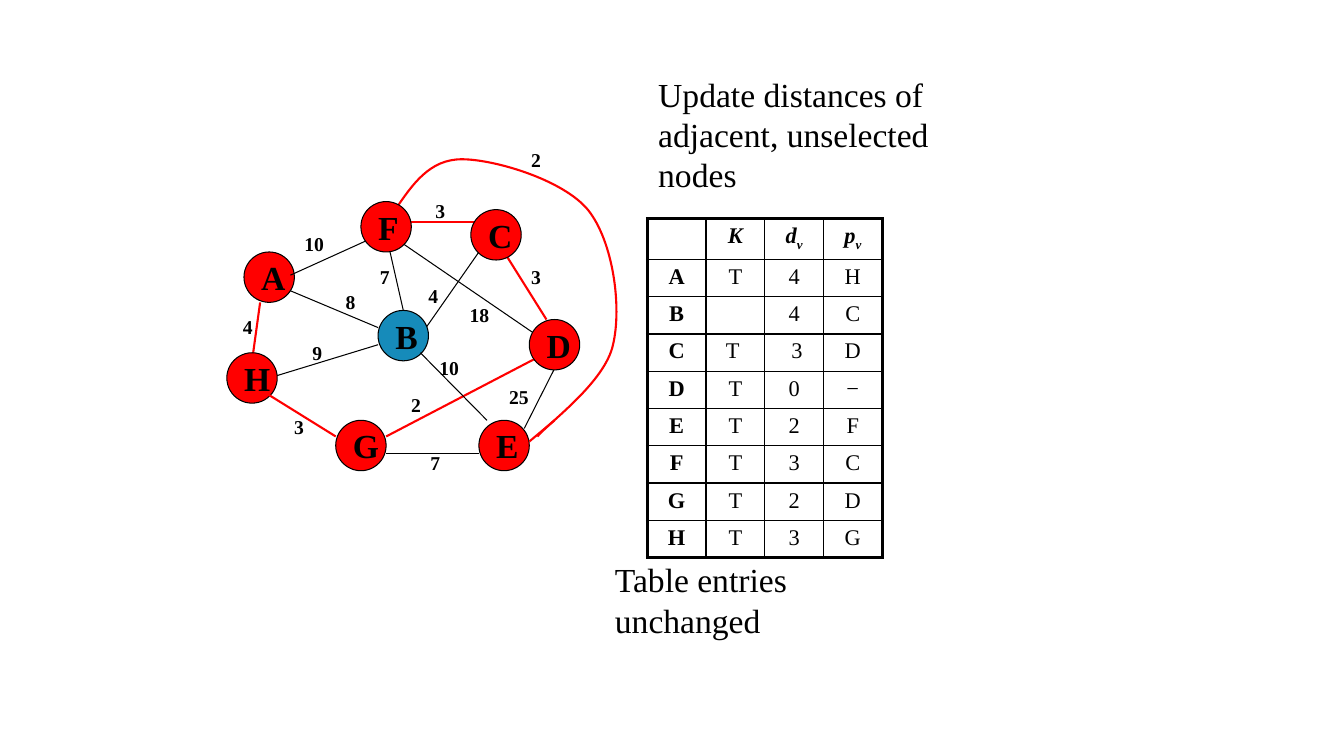
from dataclasses import dataclass

from lxml.etree import SubElement as Sub
from pptx import Presentation
from pptx.dml.color import RGBColor as Rgb
from pptx.enum.shapes import MSO_CONNECTOR as Link, MSO_SHAPE as Form
from pptx.enum.text import MSO_ANCHOR as Anchor, MSO_AUTO_SIZE as Fit, PP_ALIGN as Align
from pptx.oxml.ns import qn
from pptx.util import Inches, Pt

FONT = "Times New Roman"
COLOR = {"ink": "000000", "red": "FF0000", "blue": "168BBA"}
SIDE = 0.5


@dataclass
class Node:
    name: str
    left: float
    top: float
    fill: str = "red"


@dataclass
class Edge:
    start: tuple[float, float]
    end: tuple[float, float]
    weight: str
    spot: tuple[float, float]
    color: str = "ink"
    front: bool = False


@dataclass
class Note:
    text: str
    left: float
    top: float
    width: float
    height: float


NODES = [
    Node("A", 2.42, 2.5), Node("H", 2.25, 3.5), Node("B", 3.75, 3.08, "blue"),
    Node("F", 3.58, 2), Node("E", 4.75, 4.17), Node("D", 5.25, 3.17),
    Node("C", 4.67, 2.08), Node("G", 3.33, 4.17),
]
EDGES = [
    Edge((5.62, 3.42), (5.2, 4.25), "25", (4.95, 3.77)),
    Edge((3.83, 2.33), (4, 3.08), "7", (3.67, 2.58)),
    Edge((4.17, 3.33), (4.75, 2.5), "4", (4.15, 2.77)),
    Edge((5.33, 3.33), (4, 2.42), "18", (4.56, 2.96)),
    Edge((2.67, 3.75), (3.75, 3.42), "9", (3, 3.33)),
    Edge((3.83, 4.33), (5.42, 3.5), "2", (3.98, 3.85), "red"),
    Edge((2.5, 3.58), (2.58, 3), "4", (2.31, 3.08), "red"),
    Edge((2.75, 2.83), (3.75, 3.25), "8", (3.33, 2.83)),
    Edge((4.05, 2.2), (4.83, 2.2), "3", (4.22, 1.92), "red"),
    Edge((5, 2.5), (5.42, 3.17), "3", (5.17, 2.58), "red"),
    Edge((4.17, 3.5), (4.83, 4.17), "10", (4.26, 3.48), front=True),
    Edge((4.75, 4.5), (3.83, 4.5), "7", (4.17, 4.42), front=True),
    Edge((3.33, 4.33), (2.67, 3.92), "3", (2.82, 4.07), "red", True),
    Edge((2.88, 2.73), (3.63, 2.39), "10", (2.92, 2.25), front=True),
    Edge((5.5, 4.17), (5.25, 4.38), "2", (5.17, 1.42), "red", True),
]
# Start point, then two control points and an end point for each bend
CURVE = [
    (3.92, 2.08),
    (4.09, 1.83), (4.26, 1.58), (4.58, 1.58),
    (4.9, 1.58), (5.58, 1.78), (5.83, 2.08),
    (6.08, 2.39), (6.17, 3.04), (6.08, 3.42),
    (6, 3.79), (5.46, 4.18), (5.33, 4.33),
]
NOTES = [
    Note("Update distances of adjacent, unselected nodes", 6.43, 0.68, 3.17, 1.31),
    Note("Table entries unchanged", 6, 5.5, 3.08, 0.91),
]
ROWS = [
    ("", "K", "dv", "pv"),
    ("A", "T", "4", "H"),
    ("B", "", "4", "C"),
    ("C", "T ", " 3", "D"),
    ("D", "T", "0", "−"),
    ("E", "T", "2", "F"),
    ("F", "T", "3", "C"),
    ("G", "T", "2", "D"),
    ("H", "T", "3", "G"),
]


def tint(name: str) -> Rgb:
    return Rgb.from_string(COLOR[name])


def add_run(para, text: str, size: int, bold=False, slant=False, sub=False) -> None:
    run = para.add_run()
    run.text = text
    font = run.font
    font.name, font.size, font.bold, font.italic = FONT, Pt(size), bold, slant
    font.color.rgb = tint("ink")
    if sub:
        run._r.get_or_add_rPr().set("baseline", "-25000")


def set_line(line, color: str) -> None:
    line.color.rgb = tint(color)
    line.width = Pt(1.5 if color == "red" else 0.75)


def draw_text(shapes, note: Note, size: int, bold=False) -> None:
    box = shapes.add_textbox(*map(Inches, (note.left, note.top, note.width, note.height)))
    frame = box.text_frame
    frame.word_wrap = True
    frame.auto_size = Fit.SHAPE_TO_FIT_TEXT
    add_run(frame.paragraphs[0], note.text, size, bold)


def draw_edge(shapes, edge: Edge) -> None:
    line = shapes.add_connector(Link.STRAIGHT, *map(Inches, edge.start + edge.end))
    set_line(line.line, edge.color)
    Sub(line.element.spPr, qn("a:effectLst"))


def draw_node(shapes, node: Node) -> None:
    disc = shapes.add_shape(Form.OVAL, *map(Inches, (node.left, node.top, SIDE, SIDE)))
    disc.shadow.inherit = False
    disc.fill.solid()
    disc.fill.fore_color.rgb = tint(node.fill)
    set_line(disc.line, "ink")
    frame = disc.text_frame
    frame.word_wrap = False
    frame.vertical_anchor = Anchor.MIDDLE
    para = frame.paragraphs[0]
    para.alignment = Align.LEFT
    add_run(para, node.name, 24, True)


def draw_curve(shapes) -> None:
    """Build the outline from straight parts, then join each three into a Bezier."""
    first, *rest = [(Inches(x), Inches(y)) for x, y in CURVE]
    build = shapes.build_freeform(*first)
    build.add_line_segments(rest, close=False)
    arc = build.convert_to_shape()
    arc.shadow.inherit = False
    arc.fill.background()
    set_line(arc.line, "red")
    parts = list(arc.element.iter(qn("a:lnTo")))
    for i in range(0, len(parts), 3):
        bend = Sub(parts[i].getparent(), qn("a:cubicBezTo"))
        for part in parts[i:i + 3]:
            bend.append(part[0])
            part.getparent().remove(part)


def set_edges(cell, row: int, col: int) -> None:
    """Rule a cell, with heavy lines on the rim of the table."""
    cell.fill.background()
    props = cell._tc.get_or_add_tcPr()
    rims = {"L": col == 0, "R": col == len(ROWS[0]) - 1,
            "T": row == 0, "B": row == len(ROWS) - 1}
    for i, (side, rim) in enumerate(rims.items()):
        line = Sub(props, qn(f"a:ln{side}"), w=str(Pt(2.25 if rim else 1)))
        Sub(Sub(line, qn("a:solidFill")), qn("a:srgbClr"), val=COLOR["ink"])
        props.insert(i, line)


def draw_table(shapes) -> None:
    size = len(ROWS), len(ROWS[0])
    table = shapes.add_table(*size, *map(Inches, (6.42, 2.17, 2.33, 3.33))).table
    table.first_row = table.horz_banding = False
    for line in table.columns:
        line.width = Inches(2.33 / size[1])
    for line in table.rows:
        line.height = Inches(0.37)
    for row, texts in enumerate(ROWS):
        for col, text in enumerate(texts):
            cell = table.cell(row, col)
            set_edges(cell, row, col)
            para = cell.text_frame.paragraphs[0]
            para.alignment = Align.CENTER
            head = row == 0
            if not text:
                Sub(para._p, qn("a:endParaRPr"), sz="1600")
            elif head:
                add_run(para, text[0], 16, True, True)
                if text[1:]:
                    add_run(para, text[1:], 16, True, True, True)
            else:
                add_run(para, text, 16, col == 0)


def main() -> None:
    deck = Presentation()
    deck.slide_width, deck.slide_height = Inches(13.33), Inches(7.5)
    shapes = deck.slides.add_slide(deck.slide_layouts[6]).shapes
    draw_curve(shapes)
    for edge in EDGES:
        if not edge.front:
            draw_edge(shapes, edge)
    for node in NODES:
        draw_node(shapes, node)
    for edge in EDGES:
        if edge.front:
            draw_edge(shapes, edge)
    for edge in EDGES:
        width = 0.33 if len(edge.weight) == 1 else 0.52
        draw_text(shapes, Note(edge.weight, *edge.spot, width, 0.33), 14, True)
    draw_table(shapes)
    for note in NOTES:
        draw_text(shapes, note, 24)
    deck.save("out.pptx")


if __name__ == "__main__":
    main()
